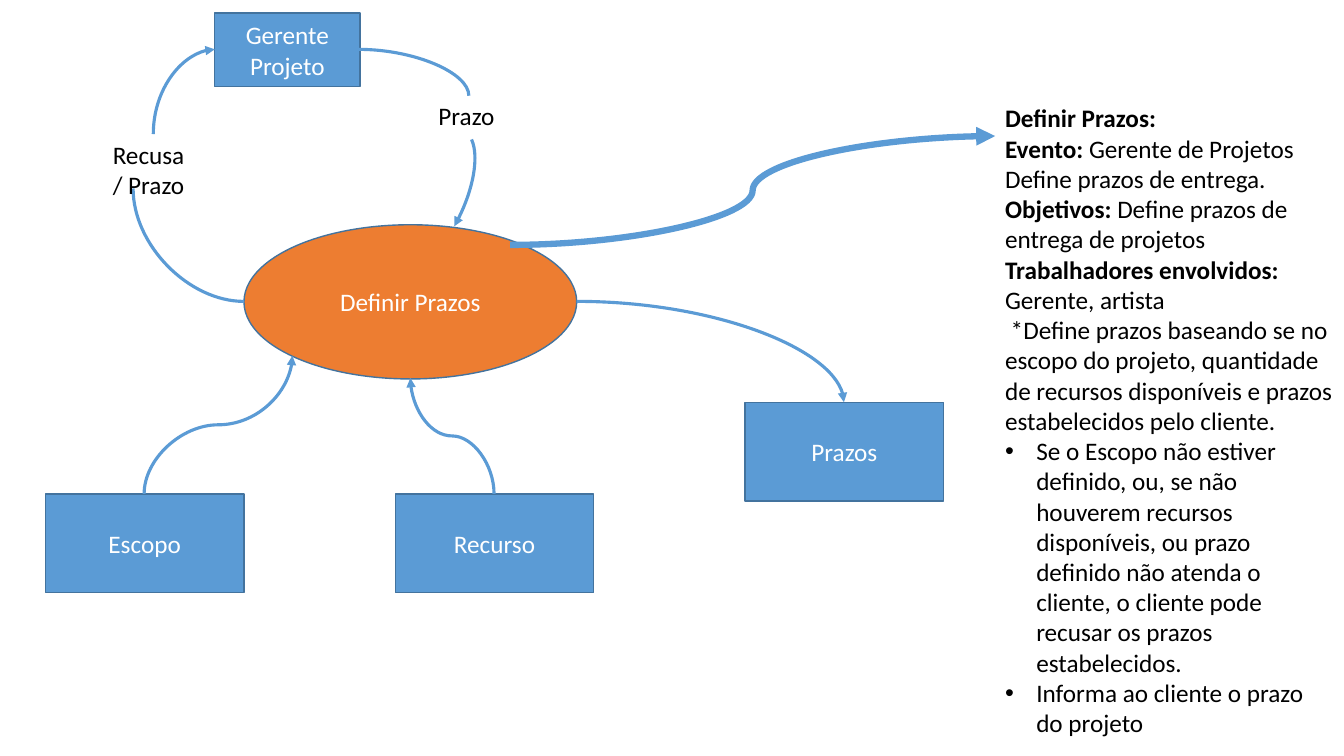
from math import cos, radians, sin

from pptx import Presentation
from pptx.dml.color import RGBColor
from pptx.enum.shapes import MSO_CONNECTOR, MSO_SHAPE
from pptx.enum.text import MSO_ANCHOR, PP_ALIGN
from pptx.oxml.ns import qn
from pptx.util import Inches, Pt
from lxml import etree

BLUE, ORANGE, OUTLINE = "5B9BD5", "ED7D31", "43739E"
WHITE, BLACK = "FFFFFF", "000000"

# text, preset, fill, (left, top, width, height)
NODES = [
    ("Definir Prazos", MSO_SHAPE.OVAL, ORANGE, (2.42, 2.23, 3.3, 1.53)),
    ("Gerente Projeto", MSO_SHAPE.RECTANGLE, BLUE, (2.13, 0.13, 1.44, 0.73)),
    ("Escopo", MSO_SHAPE.RECTANGLE, BLUE, (0.45, 4.9, 1.97, 0.98)),
    ("Recurso", MSO_SHAPE.RECTANGLE, BLUE, (3.92, 4.9, 1.97, 0.98)),
    ("Prazos", MSO_SHAPE.RECTANGLE, BLUE, (7.39, 3.99, 1.97, 0.98)),
]

# start, end, clockwise turn, preset, width, arrowhead
FLOWS = [
    ((1.43, 4.9), (2.9, 3.53), 90, "curvedConnector3", 2.25, True),
    ((4.9, 4.9), (4.07, 3.75), 270, "curvedConnector3", 2.25, True),
    ((5.72, 2.99), (8.37, 3.99), 0, "curvedConnector2", 2.25, True),
    ((3.56, 0.49), (4.65, 0.95), 0, "curvedConnector2", 2.25, False),
    ((2.42, 2.99), (1.32, 1.87), 180, "curvedConnector2", 2.25, False),
    ((1.52, 1.33), (2.13, 0.49), 90, "curvedConnector2", 2.25, True),
    ((5.06, 2.43), (9.87, 1.35), 0, "curvedConnector3", 4.5, True),
]

# Each paragraph: bold lead, plain rest, bulleted
LABELS = [
    ((4.25, 0.95, 0.81, 0.4), [("", "Prazo", False)]),
    ((1.02, 1.33, 0.99, 0.71), [("", "Recusa / Prazo", False)]),
    ((9.87, 0.97, 3.46, 6.46), [
        ("Definir Prazos:", "", False),
        ("Evento: ", "Gerente de Projetos Define prazos de entrega.", False),
        ("Objetivos: ", "Define prazos de entrega de projetos", False),
        ("Trabalhadores envolvidos:", "", False),
        ("", "Gerente, artista", False),
        ("", " *Define prazos baseando se no escopo do projeto, quantidade de "
             "recursos disponíveis e prazos estabelecidos pelo cliente.", False),
        ("", "Se o Escopo não estiver definido, ou, se não houverem recursos "
             "disponíveis, ou prazo definido não atenda o cliente, o cliente "
             "pode recusar os prazos estabelecidos.", True),
        ("", "Informa ao cliente o prazo do projeto", True),
    ]),
]


def color(value):
    """Turn a hex string into a colour."""
    return RGBColor.from_string(value)


def set_font(para, value):
    """Give a paragraph the slide's font in one colour."""
    para.font.name = "Calibri"
    para.font.size = Pt(18)
    para.font.color.rgb = color(value)


def set_line(shape, value, width, arrow=False):
    """Style a line, with an arrowhead at its end if asked."""
    shape.line.color.rgb = color(value)
    shape.line.width = Pt(width)
    if arrow:
        etree.SubElement(shape.line._get_or_add_ln(), qn("a:tailEnd"), type="triangle")


def add_node(page, text, preset, fill, place):
    """Add a filled shape with centred text."""
    shape = page.shapes.add_shape(preset, *map(Inches, place))
    shape.shadow.inherit = False
    shape.fill.solid()
    shape.fill.fore_color.rgb = color(fill)
    set_line(shape, OUTLINE, 1)
    frame = shape.text_frame
    frame.vertical_anchor = MSO_ANCHOR.MIDDLE
    para = frame.paragraphs[0]
    para.text = text
    para.alignment = PP_ALIGN.CENTER
    set_font(para, WHITE)


def add_flow(page, start, end, turn, preset, width, arrow):
    """Add a curved connector whose frame is turned about its middle."""
    middle = [(a + b) / 2 for a, b in zip(start, end)]
    cosine, sine = cos(radians(turn)), sin(radians(turn))
    ends = []
    for point in (start, end):
        dx, dy = point[0] - middle[0], point[1] - middle[1]
        ends += [Inches(middle[0] + dx * cosine + dy * sine),
                 Inches(middle[1] - dx * sine + dy * cosine)]
    connector = page.shapes.add_connector(MSO_CONNECTOR.CURVE, *ends)
    properties = connector._element.spPr
    properties.find(qn("a:prstGeom")).set("prst", preset)
    properties.find(qn("a:xfrm")).set("rot", str(turn * 60000))
    set_line(connector, BLUE, width, arrow)
    etree.SubElement(properties, qn("a:effectLst"))


def add_deadline_arc(page):
    """Add the arc from the Prazo label down to the ellipse."""
    arc = page.shapes.add_shape(
        MSO_SHAPE.ARC, Inches(3.9), Inches(1.21), Inches(0.69), Inches(1.58))
    arc.rotation = 26.1
    arc.adjustments[0] = 167.37
    arc.adjustments[1] = 10.35
    arc.shadow.inherit = False
    arc.fill.background()
    set_line(arc, BLUE, 2.25, True)


def add_bullet(para):
    """Give a paragraph a hanging bullet."""
    properties = para._p.get_or_add_pPr()
    properties.set("marL", str(Inches(0.31)))
    properties.set("indent", str(Inches(-0.31)))
    bullet_font = etree.Element(qn("a:buFont"), typeface="Arial")
    bullet = etree.Element(qn("a:buChar"), char="•")
    properties.insert(0, bullet_font)
    properties.insert(1, bullet)


def add_label(page, place, paragraphs):
    """Add a text box whose paragraphs may open in bold."""
    box = page.shapes.add_textbox(*map(Inches, place))
    frame = box.text_frame
    frame.word_wrap = True
    for index, (lead, rest, bulleted) in enumerate(paragraphs):
        para = frame.add_paragraph() if index else frame.paragraphs[0]
        for text, bold in ((lead, True), (rest, False)):
            if text:
                span = para.add_run()
                span.text = text
                span.font.bold = bold
        set_font(para, BLACK)
        if bulleted:
            add_bullet(para)


deck = Presentation()
deck.slide_width, deck.slide_height = Inches(13.33), Inches(7.5)
page = deck.slides.add_slide(deck.slide_layouts[6])
for node in NODES:
    add_node(page, *node)
add_deadline_arc(page)
for flow in FLOWS:
    add_flow(page, *flow)
for label in LABELS:
    add_label(page, *label)
deck.save("out.pptx")
